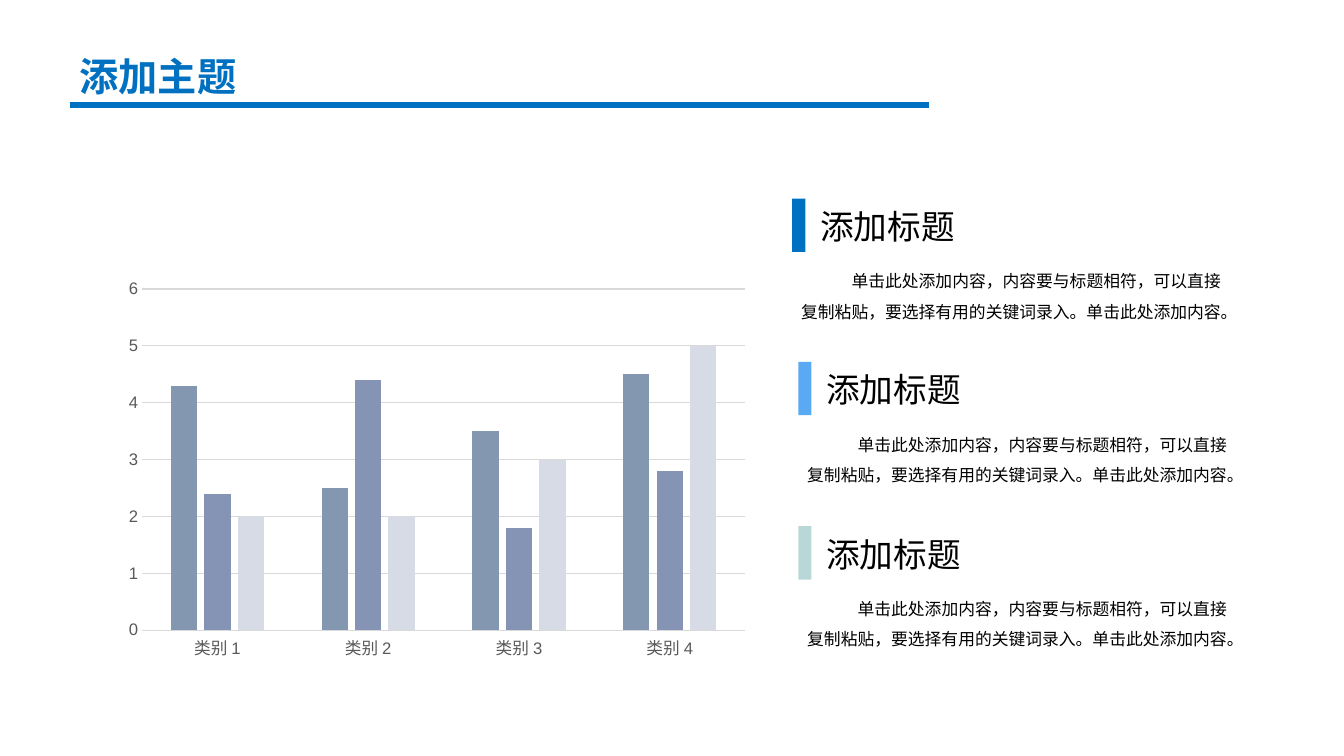
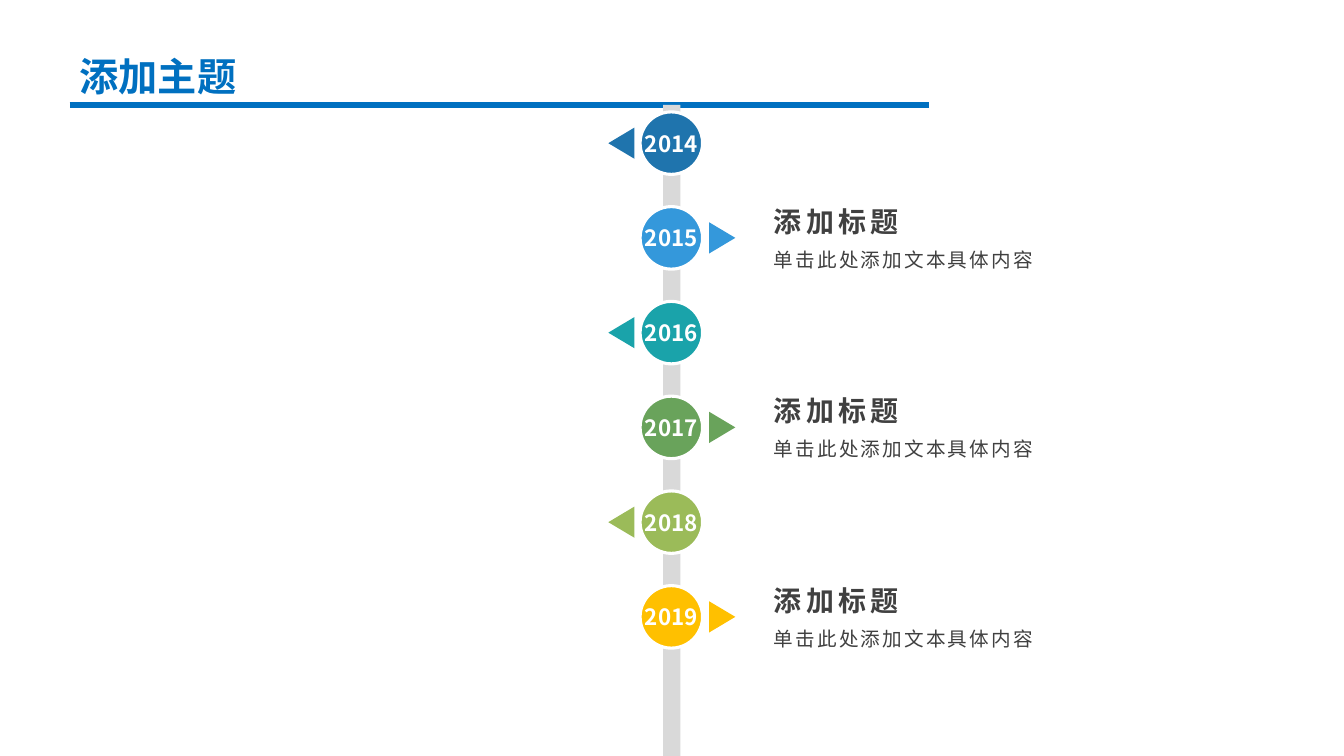
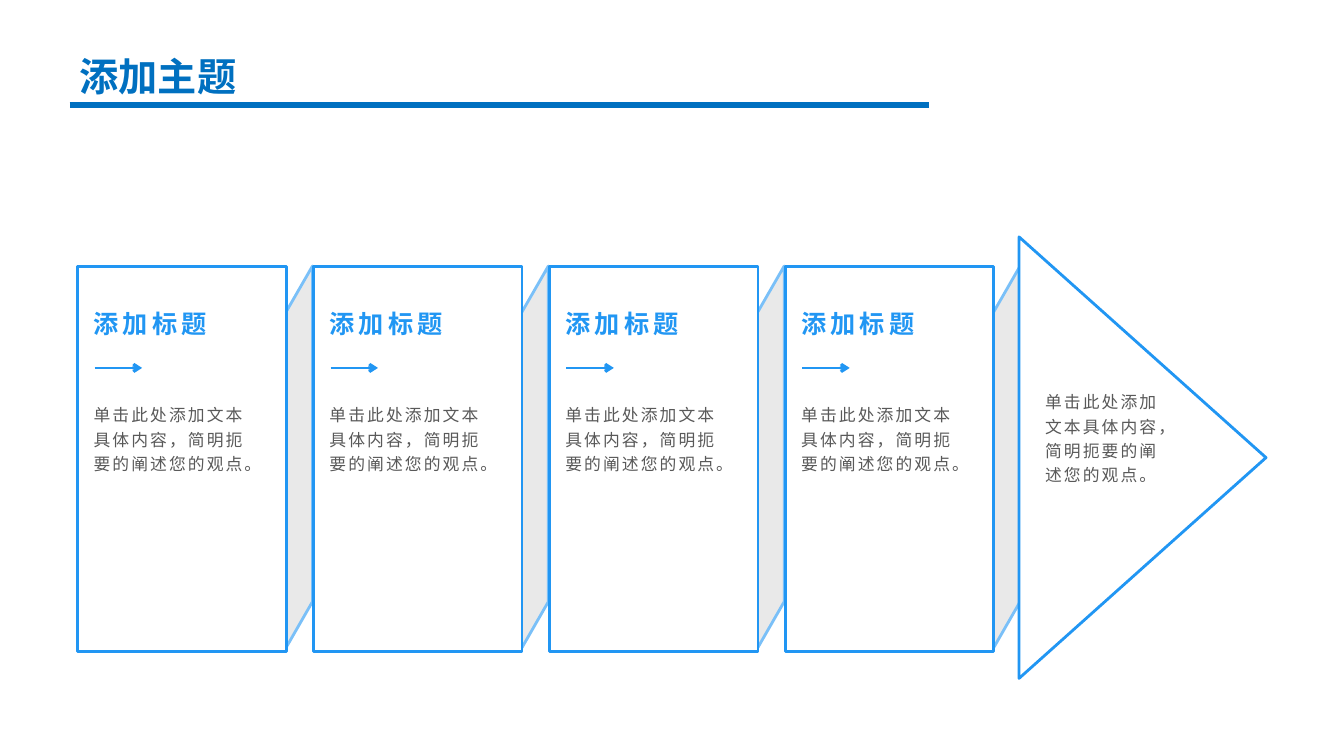
from dataclasses import dataclass
from lxml.etree import SubElement
from pptx import Presentation
from pptx.chart.data import CategoryChartData
from pptx.dml.color import RGBColor
from pptx.enum.chart import XL_CHART_TYPE, XL_TICK_MARK
from pptx.enum.shapes import MSO_CONNECTOR, MSO_SHAPE
from pptx.enum.text import MSO_ANCHOR, MSO_AUTO_SIZE, PP_ALIGN
from pptx.oxml.ns import qn
from pptx.util import Emu, Inches, Pt

# Palette
BLUE = RGBColor(0x00, 0x70, 0xC0)
SKY = RGBColor(0x59, 0xAA, 0xF2)
MIST = RGBColor(0xBA, 0xD7, 0xD7)
BRIGHT = RGBColor(0x21, 0x96, 0xF3)
PALE_BLUE = RGBColor(0x7A, 0xC0, 0xF8)
BLACK = RGBColor(0x00, 0x00, 0x00)
WHITE = RGBColor(0xFF, 0xFF, 0xFF)
DARK_GRAY = RGBColor(0x40, 0x40, 0x40)
GRAY = RGBColor(0x59, 0x59, 0x59)
LIGHT_GRAY = RGBColor(0xD9, 0xD9, 0xD9)
FOLD_GRAY = RGBColor(0xE9, 0xE9, 0xE9)
SERIES_COLORS = [RGBColor(0x84, 0x97, 0xB0), RGBColor(0x85, 0x94, 0xB4),
                 RGBColor(0xD6, 0xDB, 0xE6)]
YEAR_COLORS = [RGBColor(0x1F, 0x74, 0xAD), RGBColor(0x34, 0x98, 0xDB),
               RGBColor(0x1A, 0xA3, 0xAA), RGBColor(0x69, 0xA3, 0x5B),
               RGBColor(0x9B, 0xBB, 0x59), RGBColor(0xFF, 0xC0, 0x00)]

LATIN, CHINESE = "Arial", "Noto Sans CJK SC"

# The slide is a grid of square cells, 75 rows high
ROWS = 75
SLIDE_WIDTH, SLIDE_HEIGHT = Emu(12192000), Inches(7.5)
CELL = SLIDE_HEIGHT / ROWS


def grid(*cells):
    return [Emu(round(count * CELL)) for count in cells]


@dataclass
class TextStyle:
    size: float
    color: RGBColor
    font: str = CHINESE
    bold: bool = False
    tracking: float = 0
    line_spacing: float = 1
    align: PP_ALIGN = PP_ALIGN.LEFT
    indent: float = 0
    insets: tuple = (0.5, 0.5)  # top and bottom
    anchor: MSO_ANCHOR = MSO_ANCHOR.TOP
    wrap: bool = True


TITLE = TextStyle(28, BLUE, LATIN, bold=True, align=PP_ALIGN.JUSTIFY)
LEGEND_HEADING = TextStyle(24, BLACK, LATIN, align=PP_ALIGN.JUSTIFY)
LEGEND_BODY = TextStyle(12, BLACK, LATIN, line_spacing=1.5, indent=5)
YEAR = TextStyle(16, WHITE, bold=True, align=PP_ALIGN.CENTER,
                 anchor=MSO_ANCHOR.MIDDLE, wrap=False)
EVENT_HEADING = TextStyle(20, DARK_GRAY, bold=True, tracking=3, line_spacing=1.2,
                          insets=(0.5, 0), anchor=MSO_ANCHOR.BOTTOM)
EVENT_BODY = TextStyle(14, DARK_GRAY, tracking=1.5, line_spacing=1.2, insets=(0, 0.5))
CARD_HEADING = TextStyle(18, BRIGHT, bold=True, tracking=3, line_spacing=1.2,
                         insets=(0.5, 0))
CARD_BODY = TextStyle(12, GRAY, tracking=1.5, line_spacing=1.2, insets=(0, 0.5))


class Deck:
    """Holds the shared style and the current slide."""

    def __init__(self):
        self.presentation = Presentation()
        self.presentation.slide_width = SLIDE_WIDTH
        self.presentation.slide_height = SLIDE_HEIGHT
        self.slide = None

    def start_slide(self, title):
        layout = self.presentation.slide_layouts.get_by_name("Title Only")
        self.slide = self.presentation.slides.add_slide(layout)
        self.line(6.9, 10.4, 92.2, 10.4, BLUE, 4.5)
        shape = self.slide.shapes.title
        shape.left, shape.top, shape.width, shape.height = grid(6.9, 4.7, 26, 5.7)
        self.fill_text(shape, title, TITLE)

    def fill_text(self, shape, text, style):
        frame = shape.text_frame
        frame.word_wrap = style.wrap
        frame.auto_size = MSO_AUTO_SIZE.NONE
        frame.vertical_anchor = style.anchor
        frame.margin_left, frame.margin_right = grid(1, 1)
        frame.margin_top, frame.margin_bottom = grid(*style.insets)
        paragraph = frame.paragraphs[0]
        paragraph.alignment = style.align
        paragraph.line_spacing = style.line_spacing
        if style.indent:
            paragraph._p.get_or_add_pPr().set("indent", str(grid(style.indent)[0]))
        run = paragraph.add_run()
        run.text = text
        run.font.size = Pt(style.size)
        run.font.bold = style.bold
        run.font.color.rgb = style.color
        run.font.name = style.font
        properties = run._r.get_or_add_rPr()
        SubElement(properties, qn("a:ea")).set("typeface", CHINESE)
        if style.tracking:
            properties.set("spc", str(round(style.tracking * 100)))

    def text(self, left, top, width, height, text, style):
        box = self.slide.shapes.add_textbox(*grid(left, top, width, height))
        self.fill_text(box, text, style)

    def paint(self, shape, fill, outline=None, weight=2):
        shape.shadow.inherit = False
        shape.fill.solid()
        shape.fill.fore_color.rgb = fill
        if outline is None:
            shape.line.fill.background()
        else:
            shape.line.color.rgb = outline
            shape.line.width = Pt(weight)

    def shape(self, kind, left, top, width, height, fill, outline=None, weight=2,
              rotation=0):
        shape = self.slide.shapes.add_shape(kind, *grid(left, top, width, height))
        shape.rotation = rotation
        self.paint(shape, fill, outline, weight)
        return shape

    def polygon(self, points, fill, outline):
        start, *others = [grid(*point) for point in points]
        builder = self.slide.shapes.build_freeform(*start)
        builder.add_line_segments(others, close=True)
        self.paint(builder.convert_to_shape(), fill, outline)

    def line(self, start_x, start_y, end_x, end_y, color, weight, arrow=False):
        connector = self.slide.shapes.add_connector(
            MSO_CONNECTOR.STRAIGHT, *grid(start_x, start_y, end_x, end_y))
        connector.line.color.rgb = color
        connector.line.width = Pt(weight)
        properties = connector._element.spPr
        if arrow:
            SubElement(properties.find(qn("a:ln")), qn("a:tailEnd")).set("type", "arrow")
        SubElement(properties, qn("a:effectLst"))

    def column_chart(self, left, top, width, height, categories, series_values):
        data = CategoryChartData()
        data.categories = categories
        for number, values in enumerate(series_values, 1):
            data.add_series(f"Series {number}", values)
        chart = self.slide.shapes.add_chart(
            XL_CHART_TYPE.COLUMN_CLUSTERED, *grid(left, top, width, height), data).chart
        chart.has_legend = chart.has_title = False
        chart.font.name = LATIN
        chart.font.size = Pt(10)
        plot = chart.plots[0]
        plot.gap_width, plot.overlap, plot.vary_by_categories = 219, -27, False
        for series, color in zip(plot.series, SERIES_COLORS):
            series.format.fill.solid()
            series.format.fill.fore_color.rgb = color
        for axis in (chart.category_axis, chart.value_axis):
            axis.major_tick_mark = axis.minor_tick_mark = XL_TICK_MARK.NONE
            font = axis.tick_labels.font
            font.size, font.name, font.color.rgb = Pt(11.9), LATIN, GRAY
        chart.value_axis.minimum_scale = 0
        chart.value_axis.maximum_scale = 6
        chart.value_axis.major_unit = 1
        chart.value_axis.format.line.fill.background()
        for line in (chart.category_axis.format.line,
                     chart.value_axis.major_gridlines.format.line):
            line.color.rgb = LIGHT_GRAY
            line.width = Pt(0.75)


def chart_slide(deck):
    deck.start_slide("添加主题")
    deck.column_chart(11.5, 27, 63.7, 39.2, [f"类别 {number}" for number in range(1, 5)],
                      [(4.3, 2.5, 3.5, 4.5), (2.4, 4.4, 1.8, 2.8), (2, 2, 3, 5)])
    # Headed notes beside the chart
    for left, top, color in [(78.6, 19.7, BLUE), (79.2, 35.9, SKY), (79.2, 52.2, MIST)]:
        deck.shape(MSO_SHAPE.RECTANGLE, left, top, 1.3, 5.3, color)
        deck.text(left + 1.8, top + 0.25, 17.9, 5, "添加标题", LEGEND_HEADING)
        deck.text(left - 0.1, top + 5.7, 44.1, 6.7,
                  "单击此处添加内容，内容要与标题相符，可以直接复制粘贴，"
                  "要选择有用的关键词录入。单击此处添加内容。", LEGEND_BODY)


def timeline_slide(deck):
    deck.start_slide("添加主题")
    deck.shape(MSO_SHAPE.RECTANGLE, 65.8, 10.4, 1.7, 64.6, LIGHT_GRAY)
    # Years alternate: left pointer alone, right pointer with text
    for index, color in enumerate(YEAR_COLORS):
        top = 11.1 + 9.4 * index
        circle = deck.shape(MSO_SHAPE.OVAL, 63.5, top, 6.2, 6.2, color, WHITE, 2.25)
        deck.fill_text(circle, str(2014 + index), YEAR)
        on_right = index % 2 == 1
        deck.shape(MSO_SHAPE.ISOSCELES_TRIANGLE, 70.1 if on_right else 60.1, top + 1.8,
                   3.1, 2.6, color, rotation=90 if on_right else 270)
        if on_right:
            deck.text(75.8, top + 3.6, 43.5, 3.5, "单击此处添加文本具体内容", EVENT_BODY)
            deck.text(75.8, top - 1.3, 43.5, 4.4, "添加标题", EVENT_HEADING)


def process_slide(deck):
    deck.start_slide("添加主题")
    body = "单击此处添加文本具体内容，简明扼要的阐述您的观点。"
    offsets = [23.4 * index for index in range(4)]
    # Folds lie behind the cards
    for offset in offsets:
        left, right = 28.3 + offset, 31 + offset
        deck.polygon([(left, 31.1), (left, 64.4), (right, 59.7), (right, 26.4)],
                     FOLD_GRAY, PALE_BLUE)
    # Cards
    for offset in offsets:
        deck.shape(MSO_SHAPE.RECTANGLE, 7.7 + offset, 26.4, 20.7, 38.2, WHITE, BRIGHT)
        deck.text(8.3 + offset, 29.5, 18.8, 4.3, "添加标题", CARD_HEADING)
        deck.line(9.4 + offset, 36.5, 14.1 + offset, 36.5, BRIGHT, 2, arrow=True)
        deck.text(8.3 + offset, 39.8, 18.1, 18.7, body, CARD_BODY)
    # Closing arrowhead
    deck.polygon([(101.1, 23.5), (101.1, 67.3), (125.6, 45.4)], WHITE, BRIGHT)
    deck.text(102.7, 38.5, 13.7, 13.8, body, CARD_BODY)


def main():
    deck = Deck()
    chart_slide(deck)
    timeline_slide(deck)
    process_slide(deck)
    deck.presentation.save("out.pptx")


if __name__ == "__main__":
    main()
